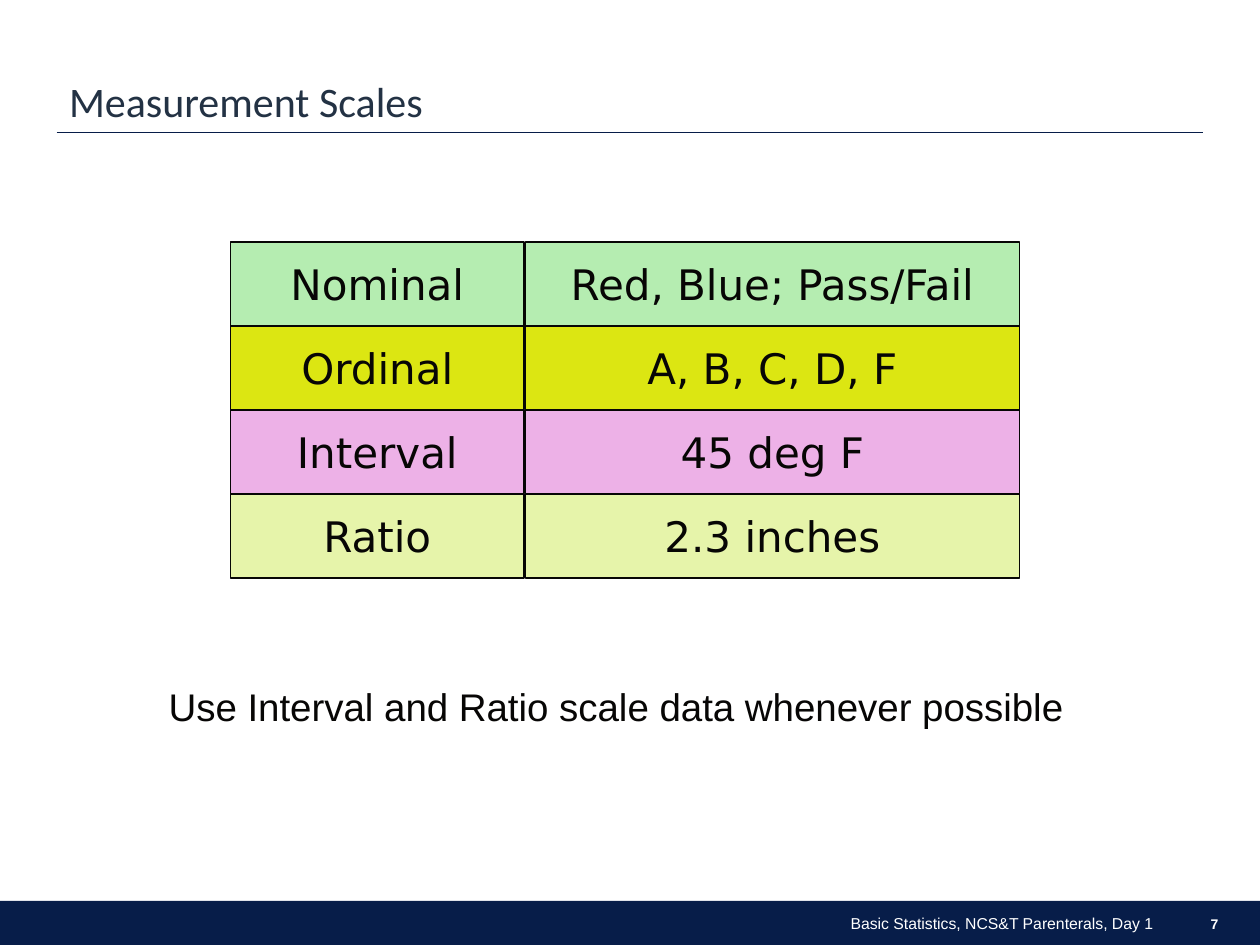
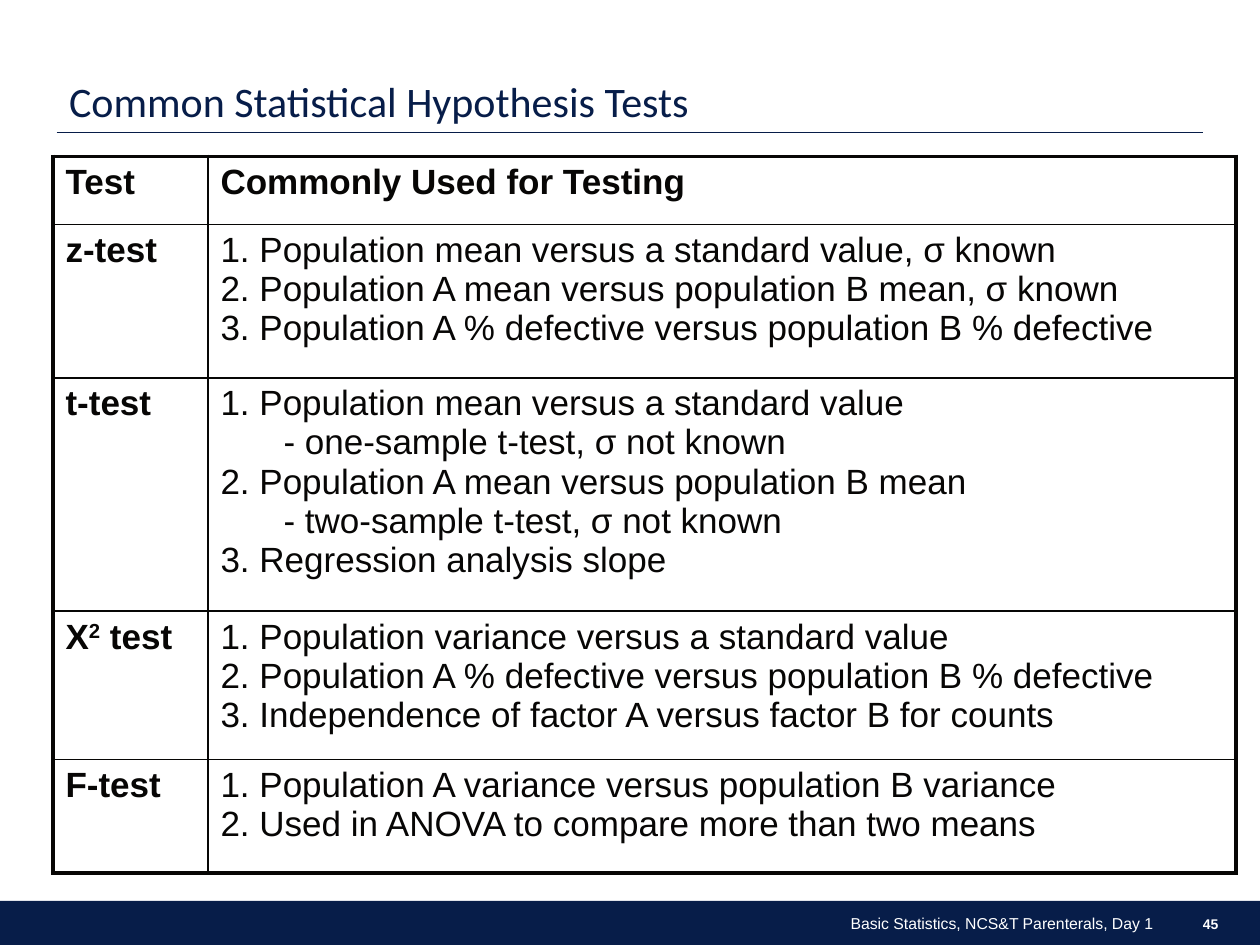
from dataclasses import dataclass
from typing import Any

from lxml import etree
from pptx import Presentation
from pptx.dml.color import RGBColor
from pptx.enum.shapes import MSO_CONNECTOR, MSO_SHAPE
from pptx.enum.text import MSO_ANCHOR, PP_ALIGN
from pptx.oxml.ns import qn
from pptx.util import Inches, Pt

STRAIGHT = MSO_CONNECTOR.STRAIGHT
RECTANGLE = MSO_SHAPE.RECTANGLE
TOP, MIDDLE, BOTTOM = MSO_ANCHOR.TOP, MSO_ANCHOR.MIDDLE, MSO_ANCHOR.BOTTOM
LEFT, CENTER, RIGHT = PP_ALIGN.LEFT, PP_ALIGN.CENTER, PP_ALIGN.RIGHT

NAVY = RGBColor(0x07, 0x1D, 0x49)
SLATE = RGBColor(0x23, 0x32, 0x44)
INK = RGBColor(0x07, 0x06, 0x05)
WHITE = RGBColor(0xFF, 0xFF, 0xFF)
GREEN = RGBColor(0xB5, 0xED, 0xB1)
YELLOW = RGBColor(0xDC, 0xE6, 0x12)
PINK = RGBColor(0xED, 0xB1, 0xE7)
LIME = RGBColor(0xE6, 0xF4, 0xAA)

FOOTER = "Basic Statistics, NCS&T Parenterals, Day 1"
OUTER_BORDER, INNER_BORDER = Pt(2.25), Pt(1)


@dataclass(frozen=True)
class TextStyle:
    font: str
    size: float
    color: RGBColor
    bold: bool = False
    align: Any = LEFT
    anchor: Any = TOP
    wrap: bool = True
    line_spacing: float = 1.0


@dataclass(frozen=True)
class Box:
    left: float
    top: float
    width: float
    height: float

    def lengths(self) -> tuple:
        return tuple(Inches(v) for v in (self.left, self.top, self.width, self.height))


@dataclass(frozen=True)
class Scale:
    name: str
    example: str
    color: RGBColor


@dataclass(frozen=True)
class TestRow:
    name: tuple  # every second part is superscript
    uses: tuple
    height: float


FOOTER_STYLE = TextStyle("Arial", 9, WHITE, align=RIGHT, anchor=MIDDLE)
NUMBER_STYLE = TextStyle("Arial", 8, WHITE, True, RIGHT, MIDDLE)
SCALE_STYLE = TextStyle("DejaVu Sans", 24, INK, align=CENTER, anchor=MIDDLE, wrap=False)
ADVICE_STYLE = TextStyle("Arial", 22, INK, align=CENTER, wrap=False)
HEADING_STYLE = TextStyle("Arial", 20, INK, True)
USES_STYLE = TextStyle("Arial", 20, INK)

SCALES = (
    Scale("Nominal", "Red, Blue; Pass/Fail", GREEN),
    Scale("Ordinal", "A, B, C, D, F", YELLOW),
    Scale("Interval", "45 deg F", PINK),
    Scale("Ratio", "2.3 inches", LIME),
)

TESTS = (
    TestRow(("z-test",), (
        "1. Population mean versus a standard value, σ known",
        "2. Population A mean versus population B mean, σ known",
        "3. Population A % defective versus population B % defective",
    ), 1.22),
    TestRow(("t-test",), (
        "1. Population mean versus a standard value",
        "\t- one-sample t-test, σ not known",
        "2. Population A mean versus population B mean",
        "\t- two-sample t-test, σ not known",
        "3. Regression analysis slope",
    ), 1.85),
    TestRow(("Χ", "2", " test"), (
        "1. Population variance versus a standard value",
        "2. Population A % defective versus population B % defective",
        "3. Independence of factor A versus factor B for counts",
    ), 1.18),
    TestRow(("F-test",), (
        "1. Population A variance versus population B variance",
        "2. Used in ANOVA to compare more than two means",
    ), 0.9),
)


def set_attributes(target: Any, values: dict) -> None:
    for key, value in values.items():
        setattr(target, key, value)


def add_run(paragraph: Any, text: str, style: TextStyle) -> Any:
    run = paragraph.add_run()
    run.text = text
    set_attributes(run.font, {"name": style.font, "size": Pt(style.size), "bold": style.bold})
    run.font.color.rgb = style.color
    return run


def write(frame: Any, text: str, style: TextStyle) -> None:
    set_attributes(frame, {"word_wrap": style.wrap, "vertical_anchor": style.anchor})
    paragraph = frame.paragraphs[0]
    set_attributes(paragraph, {"alignment": style.align, "line_spacing": style.line_spacing})
    add_run(paragraph, text, style)


def add_label(slide: Any, box: Box, text: str, style: TextStyle, **margins: Any) -> None:
    frame = slide.shapes.add_textbox(*box.lengths()).text_frame
    write(frame, text, style)
    set_attributes(frame, margins)


def add_block(slide: Any, box: Box, fill: RGBColor, outline: RGBColor | None = None) -> Any:
    block = slide.shapes.add_shape(RECTANGLE, *box.lengths())
    block.shadow.inherit = False
    block.fill.solid()
    block.fill.fore_color.rgb = fill
    if outline is None:
        block.line.fill.background()
    else:
        block.line.color.rgb = outline
        block.line.width = Pt(0.75)
    return block


def add_base_slide(deck: Any, title: str, title_color: RGBColor, number: int) -> Any:
    """Add a slide with the shared title, rule and footer band."""
    slide = deck.slides.add_slide(deck.slide_layouts[6])
    add_block(slide, Box(0, 7.15, 10, 0.35), NAVY)
    rule = slide.shapes.add_connector(
        STRAIGHT, Inches(0.45), Inches(1.05), Inches(9.55), Inches(1.05))
    rule.line.color.rgb = NAVY
    rule.line.width = Pt(0.75)
    etree.SubElement(rule._element.spPr, qn("a:effectLst"))

    title_style = TextStyle("Calibri", 24, title_color, anchor=BOTTOM, line_spacing=0.9)
    add_label(slide, Box(0.45, 0.25, 9.1, 0.8), title, title_style)
    add_label(slide, Box(9.28, 7.24, 0.39, 0.18), str(number), NUMBER_STYLE, margin_right=0)
    add_label(slide, Box(3.25, 7.23, 6, 0.2), FOOTER, FOOTER_STYLE)
    return slide


def set_borders(cell: Any, widths: dict) -> None:
    """Draw cell borders, given as widths by side in schema order."""
    properties = cell._tc.get_or_add_tcPr()
    for position, (side, width) in enumerate(widths.items()):
        border = etree.Element(qn(f"a:ln{side}"), w=str(int(width)))
        fill = etree.SubElement(border, qn("a:solidFill"))
        etree.SubElement(fill, qn("a:srgbClr"), val=str(INK))
        properties.insert(position, border)


def build_scales(deck: Any) -> None:
    slide = add_base_slide(deck, "Measurement Scales", SLATE, 7)
    row_height = 2 / 3
    for row, scale in enumerate(SCALES):
        top = 1.92 + row * row_height
        for left, width, text in ((1.83, 2.33, scale.name), (4.17, 3.92, scale.example)):
            block = add_block(slide, Box(left, top, width, row_height), scale.color, INK)
            write(block.text_frame, text, SCALE_STYLE)
    add_label(slide, Box(1.33, 5.42, 7.12, 0.37),
              "Use Interval and Ratio scale data whenever possible", ADVICE_STYLE,
              margin_left=0, margin_top=0, margin_right=0, margin_bottom=0)


def build_tests(deck: Any) -> None:
    slide = add_base_slide(deck, "Common Statistical Hypothesis Tests", NAVY, 45)
    rows = (TestRow(("Test",), ("Commonly Used for Testing",), 0.54), *TESTS)
    box = Box(0.42, 1.24, 9.39, sum(row.height for row in rows))
    table = slide.shapes.add_table(len(rows), 2, *box.lengths()).table
    set_attributes(table, {"first_row": False, "horz_banding": False})
    for column, width in zip(table.columns, (1.23, 8.16)):
        column.width = Inches(width)

    for index, row in enumerate(rows):
        table.rows[index].height = Inches(row.height)
        name_cell, uses_cell = table.cell(index, 0), table.cell(index, 1)

        # Test name, with its superscript
        paragraph = name_cell.text_frame.paragraphs[0]
        for part, text in enumerate(row.name):
            run = add_run(paragraph, text, HEADING_STYLE)
            if part % 2:
                run._r.get_or_add_rPr().set("baseline", "30000")

        # Uses, one per line
        paragraph = uses_cell.text_frame.paragraphs[0]
        for line, text in enumerate(row.uses):
            if line:
                paragraph.add_line_break()
            add_run(paragraph, text, USES_STYLE if index else HEADING_STYLE)

        # Heavy frame around thin inner lines
        for column, cell in enumerate((name_cell, uses_cell)):
            cell.text_frame.paragraphs[0].space_after = Pt(10)
            cell.fill.background()
            at_edge = {"L": column == 0, "R": column == 1,
                       "T": index == 0, "B": index == len(rows) - 1}
            set_borders(cell, {side: OUTER_BORDER if edge else INNER_BORDER
                               for side, edge in at_edge.items()})


def main() -> None:
    deck = Presentation()
    set_attributes(deck, {"slide_width": Inches(10), "slide_height": Inches(7.5)})
    build_scales(deck)
    build_tests(deck)
    deck.save("out.pptx")


if __name__ == "__main__":
    main()
